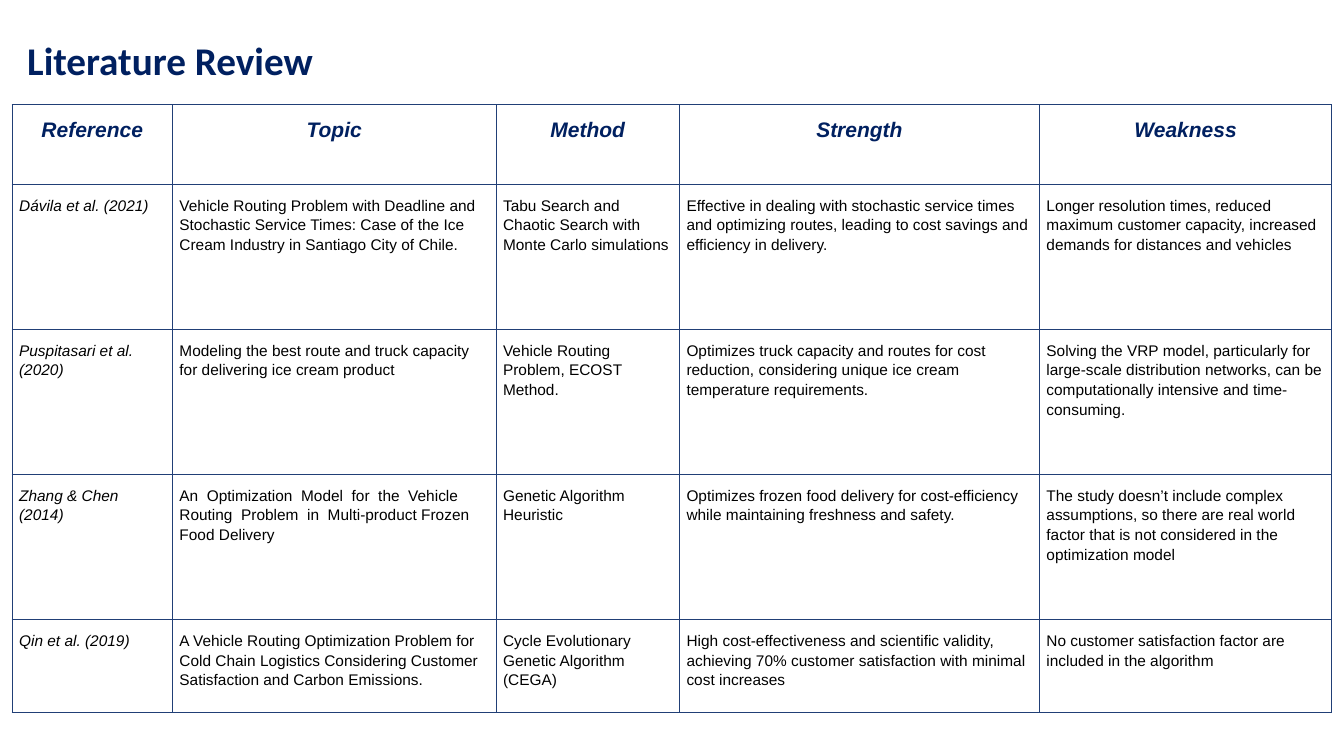
import dataclasses

import lxml.etree
import pptx
import pptx.dml.color
import pptx.enum.text
import pptx.oxml.ns
import pptx.presentation
import pptx.slide
import pptx.table
import pptx.text.text
import pptx.util

Inches = pptx.util.Inches
Pt = pptx.util.Pt
Color = pptx.dml.color.RGBColor
Align = pptx.enum.text.PP_ALIGN
Anchor = pptx.enum.text.MSO_ANCHOR


@dataclasses.dataclass(frozen=True)
class Theme:
    navy: str = "002060"
    ink: str = "000000"
    rule: str = "213F76"
    width: float = 0.75
    head: str = "Calibri"
    body: str = "Arial"
    title: float = 28
    label: float = 15
    text: float = 11


@dataclasses.dataclass(frozen=True)
class Style:
    font: str
    size: float
    color: str
    bold: bool = False
    slant: bool = False
    align: Align = Align.LEFT


@dataclasses.dataclass(frozen=True)
class Study:
    source: str
    topic: str
    method: str
    plus: str
    minus: str


THEME = Theme()
TITLE = Style(THEME.head, THEME.title, THEME.navy, bold=True)
LABEL = Style(THEME.body, THEME.label, THEME.navy, True, True, Align.CENTER)
CITE = Style(THEME.body, THEME.text, THEME.ink, slant=True)
PLAIN = Style(THEME.body, THEME.text, THEME.ink)

COLS = (1.59, 3.21, 1.82, 3.57, 2.9)
ROWS = (0.79, 1.44, 1.44, 1.44, 0.92)

HEADS = Study("Reference", "Topic", "Method", "Strength", "Weakness")
STUDIES = (
    Study(
        "Dávila et al. (2021)",
        "Vehicle Routing Problem with Deadline and Stochastic Service Times: "
        "Case of the Ice Cream Industry in Santiago City of Chile.",
        "Tabu Search and Chaotic Search with Monte Carlo simulations",
        "Effective in dealing with stochastic service times and optimizing "
        "routes, leading to cost savings and efficiency in delivery.",
        "Longer resolution times, reduced maximum customer capacity, "
        "increased demands for distances and vehicles",
    ),
    Study(
        "Puspitasari et al. (2020)",
        "Modeling the best route and truck capacity for delivering ice cream product",
        "Vehicle Routing Problem, ECOST Method.",
        "Optimizes truck capacity and routes for cost reduction, considering "
        "unique ice cream temperature requirements.",
        "Solving the VRP model, particularly for large-scale distribution "
        "networks, can be computationally intensive and time-consuming.",
    ),
    Study(
        "Zhang & Chen (2014)",
        "An  Optimization  Model  for  the  Vehicle  Routing  Problem  in  "
        "Multi-product Frozen Food Delivery",
        "Genetic Algorithm Heuristic",
        "Optimizes frozen food delivery for cost-efficiency while maintaining "
        "freshness and safety.",
        "The study doesn’t include complex assumptions, so there are real "
        "world factor that is not considered in the optimization model",
    ),
    Study(
        "Qin et al. (2019)",
        "A Vehicle Routing Optimization Problem for Cold Chain Logistics "
        "Considering Customer Satisfaction and Carbon Emissions.",
        "Cycle Evolutionary Genetic Algorithm (CEGA)",
        "High cost-effectiveness and scientific validity, achieving 70% "
        "customer satisfaction with minimal cost increases",
        "No customer satisfaction factor are included in the algorithm",
    ),
)


def write(frame: pptx.text.text.TextFrame, text: str, style: Style) -> None:
    frame.text = text
    frame.word_wrap = True
    for para in frame.paragraphs:
        para.alignment = style.align
        for run in para.runs:
            font = run.font
            font.name = style.font
            font.size = Pt(style.size)
            font.bold = style.bold
            font.italic = style.slant
            font.color.rgb = Color.from_string(style.color)


def border(cell: pptx.table._Cell) -> None:
    props = cell._tc.get_or_add_tcPr()
    name = pptx.oxml.ns.qn
    for side in ("a:lnL", "a:lnR", "a:lnT", "a:lnB"):
        line = lxml.etree.SubElement(props, name(side), w=str(Pt(THEME.width)))
        fill = lxml.etree.SubElement(line, name("a:solidFill"))
        lxml.etree.SubElement(fill, name("a:srgbClr"), val=THEME.rule)


def fill_cell(cell: pptx.table._Cell, text: str, style: Style) -> None:
    write(cell.text_frame, text, style)
    para = cell.text_frame.paragraphs[0]
    para.line_spacing = 1.15
    para.space_before = para.space_after = Pt(12)
    cell.margin_left = cell.margin_right = Inches(0.07)
    cell.margin_top = cell.margin_bottom = Inches(0.1)
    cell.vertical_anchor = Anchor.TOP
    border(cell)
    cell.fill.background()


def add_title(slide: pptx.slide.Slide) -> None:
    title = slide.shapes.title
    title.left, title.top = Inches(0.17), Inches(0.22)
    title.width, title.height = Inches(7.03), Inches(0.74)
    frame = title.text_frame
    write(frame, "Literature Review", TITLE)
    frame.auto_size = pptx.enum.text.MSO_AUTO_SIZE.NONE
    frame.vertical_anchor = Anchor.MIDDLE
    frame.margin_left = frame.margin_right = Inches(0.1)
    frame.margin_top = frame.margin_bottom = Inches(0.1)


def add_grid(slide: pptx.slide.Slide) -> None:
    table = slide.shapes.add_table(
        len(ROWS), len(COLS), Inches(0.12), Inches(1.04),
        Inches(sum(COLS)), Inches(sum(ROWS)),
    ).table
    table.first_row = table.horz_banding = False
    for col, width in zip(table.columns, COLS):
        col.width = Inches(width)
    for row, height in zip(table.rows, ROWS):
        row.height = Inches(height)

    # Header labels, then italic citations beside plain findings
    for r, study in enumerate((HEADS, *STUDIES)):
        for c, text in enumerate(dataclasses.astuple(study)):
            style = LABEL if r == 0 else CITE if c == 0 else PLAIN
            fill_cell(table.cell(r, c), text, style)


def main() -> None:
    # Slide setup
    deck = pptx.Presentation()
    deck.slide_width, deck.slide_height = Inches(13.33), Inches(7.5)
    slide = deck.slides.add_slide(deck.slide_layouts.get_by_name("Title Only"))

    # Content
    add_title(slide)
    add_grid(slide)
    deck.save("out.pptx")


if __name__ == "__main__":
    main()
